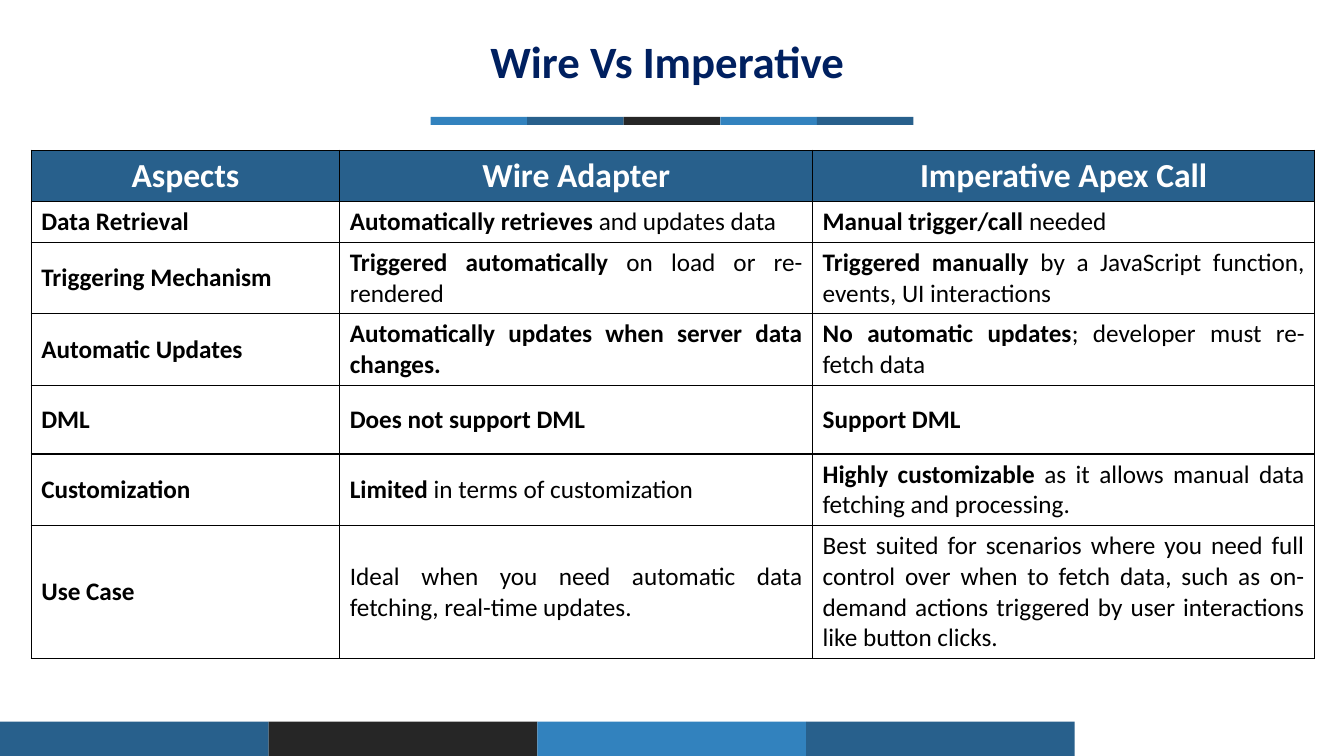
from dataclasses import dataclass

from lxml import etree
from pptx import Presentation
from pptx.dml.color import RGBColor
from pptx.enum.shapes import MSO_SHAPE
from pptx.enum.text import MSO_ANCHOR, MSO_AUTO_SIZE, PP_ALIGN
from pptx.oxml.ns import qn
from pptx.util import Inches, Pt

RECTANGLE = MSO_SHAPE.RECTANGLE
TOP, MIDDLE = MSO_ANCHOR.TOP, MSO_ANCHOR.MIDDLE
CENTER, JUSTIFY = PP_ALIGN.CENTER, PP_ALIGN.JUSTIFY
NO_AUTOFIT = MSO_AUTO_SIZE.NONE
TITLE_ONLY = 5


@dataclass(frozen=True)
class Theme:
    font: str = "Calibri"
    navy: str = "002060"
    blue: str = "28608C"
    light_blue: str = "3282BE"
    charcoal: str = "262626"
    black: str = "000000"
    white: str = "FFFFFF"
    title_size: int = 32
    header_size: int = 24
    body_size: int = 18
    border_width: float = 1


THEME = Theme()

HEADINGS = ["Aspects", "Wire Adapter", "Imperative Apex Call"]
# Each row: aspect, then (bold part, plain part) for wire and imperative
COMPARISON = [
    ("Data Retrieval",
     ("Automatically retrieves", " and updates data"),
     ("Manual trigger/call ", "needed")),
    ("Triggering Mechanism",
     ("Triggered automatically", " on load or re-rendered"),
     ("Triggered manually ", "by a JavaScript function, events, UI interactions")),
    ("Automatic Updates",
     ("Automatically updates when server data changes.", ""),
     ("No automatic updates", "; developer must re-fetch data")),
    ("DML", ("Does not support DML", ""), ("Support DML", "")),
    ("Customization",
     ("Limited ", "in terms of customization"),
     ("Highly customizable", " as it allows manual data fetching and processing.")),
    ("Use Case",
     ("", "Ideal when you need automatic data fetching, real-time updates."),
     ("", "Best suited for scenarios where you need full control over when to fetch "
          "data, such as on-demand actions triggered by user interactions like "
          "button clicks.")),
]
COLUMN_WIDTHS = [3.06, 4.69, 4.98]
ROW_HEIGHTS = [0.39, 0.39] + [0.68] * 5


def add_run(paragraph, text, size, color, bold):
    run = paragraph.add_run()
    run.text = text
    font_format = {"name": THEME.font, "size": Pt(size), "bold": bold}
    for attribute, value in font_format.items():
        setattr(run.font, attribute, value)
    run.font.color.rgb = RGBColor.from_string(color)


def add_title(slide, box, text):
    title = slide.shapes.title
    for side, length in zip(("left", "top", "width", "height"), box):
        setattr(title, side, Inches(length))
    frame = title.text_frame
    frame_format = {"word_wrap": True, "auto_size": NO_AUTOFIT, "vertical_anchor": TOP}
    for attribute, value in frame_format.items():
        setattr(frame, attribute, value)
    heading = frame.paragraphs[0]
    heading.alignment = CENTER
    heading.line_spacing = 0.9
    add_run(heading, text, THEME.title_size, THEME.navy, True)


def add_color_band(slide, box, colors):
    """Split the box into equal bars, one per colour."""
    left, top, width, height = box
    bar_width = width / len(colors)
    for index, color in enumerate(colors):
        bar = slide.shapes.add_shape(
            RECTANGLE, Inches(left + index * bar_width), Inches(top),
            Inches(bar_width), Inches(height))
        bar.shadow.inherit = False
        bar.fill.solid()
        bar.fill.fore_color.rgb = RGBColor.from_string(color)
        bar.line.fill.background()


def add_borders(cell):
    properties = cell._tc.get_or_add_tcPr()
    for edge in ("a:lnL", "a:lnR", "a:lnT", "a:lnB"):
        line = etree.SubElement(properties, qn(edge), w=str(Pt(THEME.border_width)))
        fill = etree.SubElement(line, qn("a:solidFill"))
        etree.SubElement(fill, qn("a:srgbClr"), val=THEME.black)


def fill_cell(cell, parts, size, color, background, alignment):
    add_borders(cell)
    cell.fill.solid()
    cell.fill.fore_color.rgb = RGBColor.from_string(background)
    cell.vertical_anchor = MIDDLE
    paragraph = cell.text_frame.paragraphs[0]
    paragraph.alignment = alignment
    for text, bold in zip(parts, (True, False)):
        if text:
            add_run(paragraph, text, size, color, bold)


def add_comparison(slide, box):
    rows = [[(heading, "") for heading in HEADINGS]]
    rows += [[(aspect, ""), wire, imperative] for aspect, wire, imperative in COMPARISON]
    table = slide.shapes.add_table(
        len(rows), len(HEADINGS), *(Inches(length) for length in box)).table
    table.horz_banding = False
    for column, width in zip(table.columns, COLUMN_WIDTHS):
        column.width = Inches(width)
    for row, height in zip(table.rows, ROW_HEIGHTS):
        row.height = Inches(height)

    header_style = (THEME.header_size, THEME.white, THEME.blue, CENTER)
    body_style = (THEME.body_size, THEME.black, THEME.white, JUSTIFY)
    for row_index, row in enumerate(rows):
        style = body_style if row_index else header_style
        for column_index, parts in enumerate(row):
            fill_cell(table.cell(row_index, column_index), parts, *style)


def build_comparison_slide(presentation):
    slide = presentation.slides.add_slide(presentation.slide_layouts[TITLE_ONLY])
    # Divider under the title
    add_color_band(slide, (4.27, 1.16, 4.79, 0.08),
                   [THEME.light_blue, THEME.blue, THEME.charcoal,
                    THEME.light_blue, THEME.blue])
    # Footer band
    add_color_band(slide, (0, 7.16, 10.66, 0.34),
                   [THEME.blue, THEME.charcoal, THEME.light_blue, THEME.blue])
    # Title and table
    add_title(slide, (0.41, 0.34, 12.52, 0.69), "Wire Vs Imperative ")
    add_comparison(slide, (0.31, 1.49, sum(COLUMN_WIDTHS), sum(ROW_HEIGHTS)))


def main():
    presentation = Presentation()
    presentation.slide_width = Inches(13.33)
    presentation.slide_height = Inches(7.5)
    build_comparison_slide(presentation)
    presentation.save("out.pptx")


if __name__ == "__main__":
    main()
